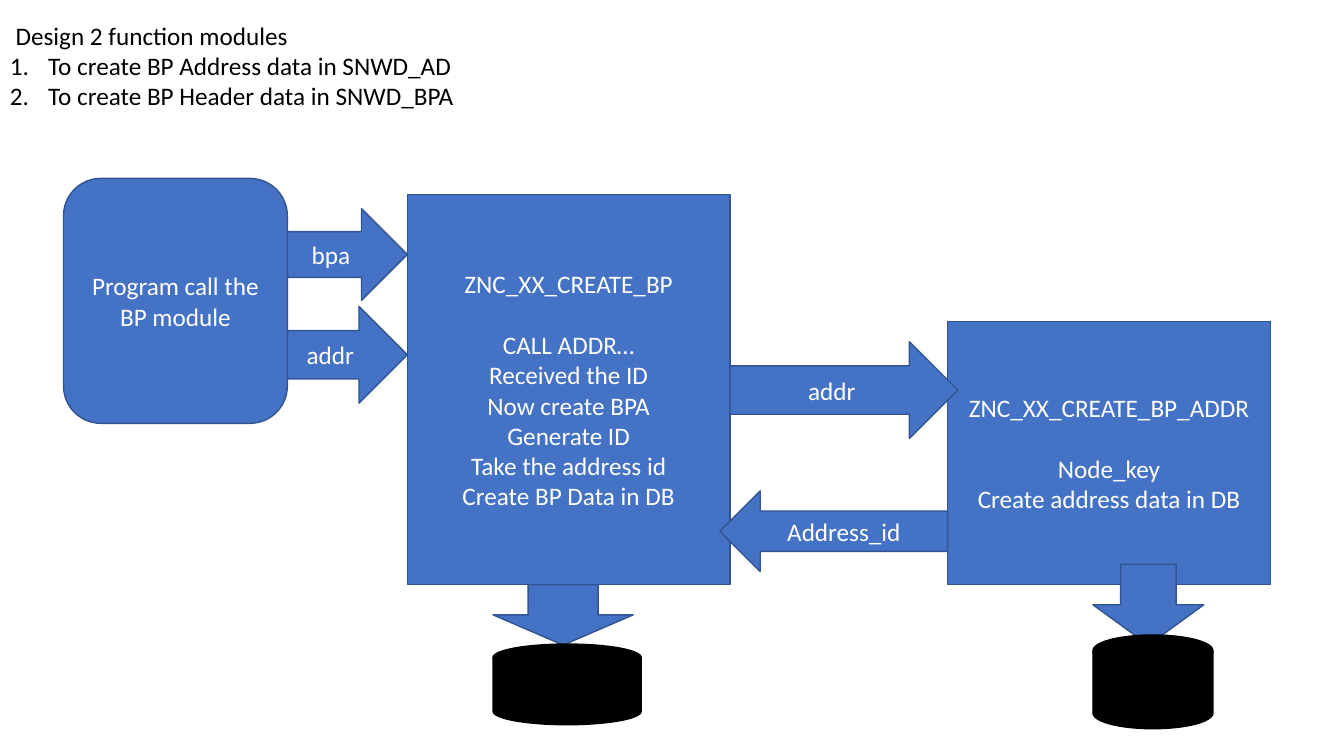
from dataclasses import dataclass

from lxml.etree import SubElement
from pptx import Presentation
from pptx.dml.color import RGBColor
from pptx.enum.shapes import MSO_SHAPE as Preset
from pptx.enum.text import MSO_ANCHOR as Anchor, MSO_AUTO_SIZE as AutoSize, PP_ALIGN as Align
from pptx.oxml.ns import qn
from pptx.slide import Slide
from pptx.text.text import TextFrame
from pptx.util import Inches, Pt

COLORS = {"block": "4472C4", "outline": "325491", "database": "000000",
          "label": "FFFFFF", "title": "000000"}
FONT_FORMAT = {"name": "Calibri", "size": Pt(18)}
LABEL_FRAME = {"word_wrap": True, "vertical_anchor": Anchor.MIDDLE}
TITLE_FRAME = {"word_wrap": True, "auto_size": AutoSize.SHAPE_TO_FIT_TEXT}
HEADING_GAP = Pt(22)
LIST_INDENT = Inches(0.38)


@dataclass(frozen=True)
class Block:
    preset: Preset
    left: float
    top: float
    width: float
    height: float
    lines: tuple[str, ...] = ()
    fill: str = "block"
    outline: str = "outline"


def database(left: float, top: float, width: float, height: float) -> Block:
    return Block(Preset.FLOWCHART_MAGNETIC_DISK, left, top, width, height,
                 fill="database", outline="database")


TITLE = (" Design 2 function modules",
         "To create BP Address data in SNWD_AD",
         "To create BP Header data in SNWD_BPA")

# Blocks from back to front
BLOCKS = (
    Block(Preset.RECTANGLE, 4.04, 1.93, 3.2, 3.87,
          ("ZNC_XX_CREATE_BP", "CALL ADDR…", "Received the ID", "Now create BPA",
           "Generate ID", "Take the address id", "Create BP Data in DB")),
    Block(Preset.RECTANGLE, 9.4, 3.19, 3.2, 2.61,
          ("ZNC_XX_CREATE_BP_ADDR", "Node_key", "Create address data in DB")),
    Block(Preset.RIGHT_ARROW, 2.75, 2.07, 1.29, 0.91, ("bpa",)),
    Block(Preset.RIGHT_ARROW, 2.75, 3.04, 1.29, 0.96, ("addr",)),
    Block(Preset.RIGHT_ARROW, 7.24, 3.39, 2.26, 0.96, ("addr",)),
    Block(Preset.DOWN_ARROW, 10.84, 5.6, 1.1, 0.8),
    database(10.84, 6.3, 1.19, 0.93),
    Block(Preset.LEFT_ARROW, 7.14, 4.87, 2.26, 0.8, ("Address_id",)),
    Block(Preset.DOWN_ARROW, 4.89, 5.8, 1.39, 0.6),
    database(4.89, 6.39, 1.47, 0.8),
    Block(Preset.ROUNDED_RECTANGLE, 0.63, 1.77, 2.22, 2.43,
          ("Program call the BP module",)),
)


def color(name: str) -> RGBColor:
    return RGBColor.from_string(COLORS[name])


def apply_format(target: object, values: dict) -> None:
    for name, value in values.items():
        setattr(target, name, value)


def write_lines(frame: TextFrame, lines: tuple[str, ...], color_name: str,
                alignment: Align) -> None:
    for index, line in enumerate(lines):
        paragraph = frame.add_paragraph() if index else frame.paragraphs[0]
        paragraph.alignment = alignment
        run = paragraph.add_run()
        run.text = line
        apply_format(run.font, FONT_FORMAT)
        run.font.color.rgb = color(color_name)


def add_title(slide: Slide) -> None:
    box = slide.shapes.add_textbox(0, Inches(0.15), Inches(13.33), Inches(1.01))
    frame = box.text_frame
    apply_format(frame, TITLE_FRAME)
    write_lines(frame, TITLE, "title", Align.LEFT)
    # Numbered list below the first line
    for paragraph in frame.paragraphs[1:]:
        properties = paragraph._p.get_or_add_pPr()
        properties.set("marL", str(LIST_INDENT))
        properties.set("indent", str(-LIST_INDENT))
        SubElement(properties, qn("a:buFont"), typeface="+mj-lt")
        SubElement(properties, qn("a:buAutoNum"), type="arabicPeriod")


def add_block(slide: Slide, block: Block) -> None:
    bounds = map(Inches, (block.left, block.top, block.width, block.height))
    shape = slide.shapes.add_shape(block.preset, *bounds)
    shape.shadow.inherit = False
    shape.fill.solid()
    shape.fill.fore_color.rgb = color(block.fill)
    shape.line.color.rgb = color(block.outline)
    shape.line.width = Pt(1)
    frame = shape.text_frame
    apply_format(frame, LABEL_FRAME)
    write_lines(frame, block.lines, "label", Align.CENTER)
    # The heading stands one line apart from the steps
    if len(block.lines) > 1:
        frame.paragraphs[0].space_after = HEADING_GAP


def main() -> None:
    presentation = Presentation()
    apply_format(presentation, {"slide_width": Inches(13.33), "slide_height": Inches(7.5)})
    slide = presentation.slides.add_slide(presentation.slide_layouts[6])
    add_title(slide)
    for block in BLOCKS:
        add_block(slide, block)
    presentation.save("out.pptx")


if __name__ == "__main__":
    main()
